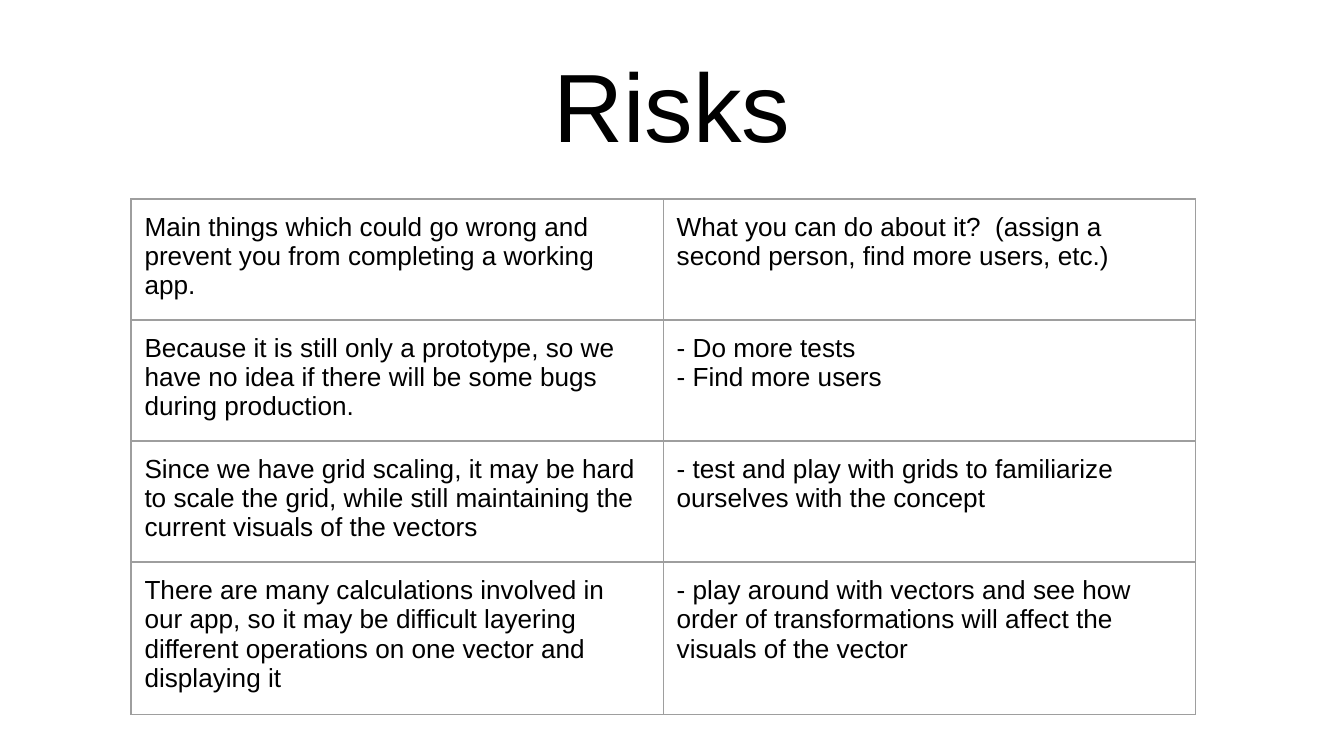
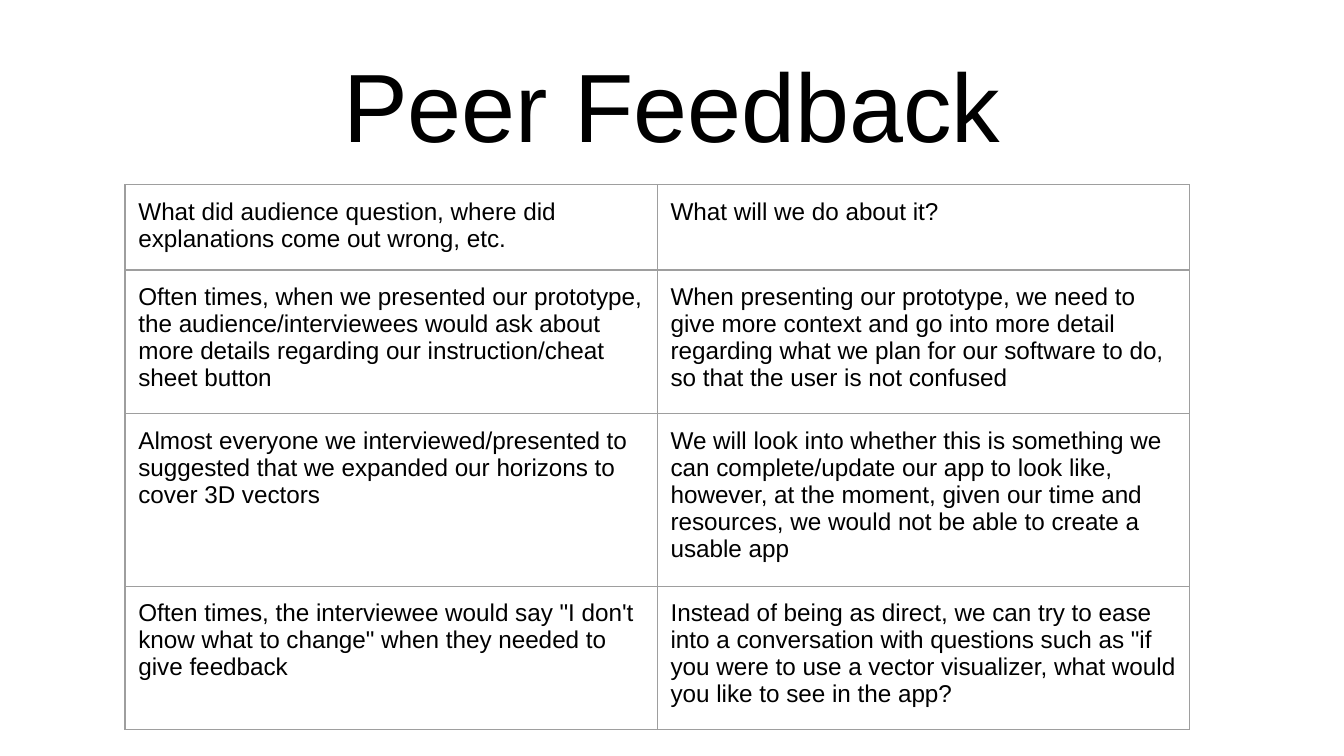
import pptx
import pptx.dml.color
import pptx.enum.text
import pptx.oxml
import pptx.oxml.ns
import pptx.util

PX = 4572
SLIDE_SIZE = (2000, 1125)
TITLE_BOX = (146, 30, 1708, 250)
FONT = "Arial"
COLORS = {"background": "FFFFFF", "text": "000000", "border": "9E9E9E"}

RISKS = [
    ("Main things which could go wrong and prevent you from completing a working app.",
     "What you can do about it?  (assign a second person, find more users, etc.)"),
    ("Because it is still only a prototype, so we have no idea if there will be "
     "some bugs during production.",
     "- Do more tests\n- Find more users"),
    ("Since we have grid scaling, it may be hard to scale the grid, while still "
     "maintaining the current visuals of the vectors",
     "- test and play with grids to familiarize ourselves with the concept"),
    ("There are many calculations involved in our app, so it may be difficult "
     "layering different operations on one vector and displaying it",
     "- play around with vectors and see how order of transformations will affect "
     "the visuals of the vector"),
]
FEEDBACK = [
    ("What did audience question, where did explanations come out wrong, etc.",
     "What will we do about it?"),
    ("Often times, when we presented our prototype, the audience/interviewees would "
     "ask about more details regarding our instruction/cheat sheet button",
     "When presenting our prototype, we need to give more context and go into more "
     "detail regarding what we plan for our software to do, so that the user is not "
     "confused"),
    ("Almost everyone we interviewed/presented to suggested that we expanded our "
     "horizons to cover 3D vectors",
     "We will look into whether this is something we can complete/update our app to "
     "look like, however, at the moment, given our time and resources, we would not "
     "be able to create a usable app"),
    ("Often times, the interviewee would say \"I don't know what to change\" when "
     "they needed to give feedback",
     "Instead of being as direct, we can try to ease into a conversation with "
     "questions such as \"if you were to use a vector visualizer, what would you "
     "like to see in the app?"),
]


def px(length):
    """Turn px into EMU."""
    return pptx.util.Emu(length * PX)


def rgb(name):
    """Look up a named colour."""
    return pptx.dml.color.RGBColor.from_string(COLORS[name])


def set_margins(holder, margin):
    """Give a text frame or cell equal margins."""
    for side in ("left", "right", "top", "bottom"):
        setattr(holder, f"margin_{side}", px(margin))


def write(frame, text, size, align=pptx.enum.text.PP_ALIGN.LEFT):
    """Write each line of text as a paragraph."""
    for index, line in enumerate(text.split("\n")):
        paragraph = frame.add_paragraph() if index else frame.paragraphs[0]
        paragraph.alignment = align
        run = paragraph.add_run()
        run.text = line
        run.font.name = FONT
        run.font.size = pptx.util.Pt(size)
        run.font.bold = False
        run.font.color.rgb = rgb("text")


def add_title(slide, box, title):
    """Place the centred slide title."""
    frame = slide.shapes.add_textbox(*map(px, box)).text_frame
    frame.word_wrap = True
    frame.vertical_anchor = pptx.enum.text.MSO_ANCHOR.MIDDLE
    set_margins(frame, 8)
    write(frame, title, 52, pptx.enum.text.PP_ALIGN.CENTER)


def outline_cell(cell):
    """Draw a thin border on all four sides of a cell."""
    properties = cell._tc.get_or_add_tcPr()
    for side in "LRTB":
        properties.append(pptx.oxml.parse_xml(
            f'<a:ln{side} {pptx.oxml.ns.nsdecls("a")} w="{pptx.util.Pt(0.75)}">'
            f'<a:solidFill><a:srgbClr val="{COLORS["border"]}"/></a:solidFill>'
            f'</a:ln{side}>'))


def add_answers(slide, box, row_heights, entries, size):
    """Place a two-column table of issues and responses."""
    left, top, width = box
    table = slide.shapes.add_table(
        len(entries), 2, *map(px, (left, top, width, sum(row_heights)))).table
    table.first_row = False
    table.horz_banding = False
    for column in table.columns:
        column.width = px(width // 2)
    for row, height, entry in zip(table.rows, row_heights, entries):
        row.height = px(height)
        for cell, text in zip(row.cells, entry):
            set_margins(cell, 20)
            write(cell.text_frame, text, size)
            outline_cell(cell)
            cell.fill.background()


def add_answer_slide(deck, title, box, row_heights, entries, size):
    """Add a slide with a title above a table."""
    slide = deck.slides.add_slide(deck.slide_layouts[6])
    slide.background.fill.solid()
    slide.background.fill.fore_color.rgb = rgb("background")
    add_title(slide, TITLE_BOX, title)
    add_answers(slide, box, row_heights, entries, size)


def main():
    """Build and save the deck."""
    deck = pptx.Presentation()
    deck.slide_width, deck.slide_height = map(px, SLIDE_SIZE)
    add_answer_slide(deck, "Risks", (195, 296, 1584),
                     (171, 174, 174, 216), RISKS, 14)
    add_answer_slide(deck, "Peer Feedback", (186, 275, 1584),
                     (121, 202, 242, 202), FEEDBACK, 13)
    deck.save("out.pptx")


if __name__ == "__main__":
    main()
